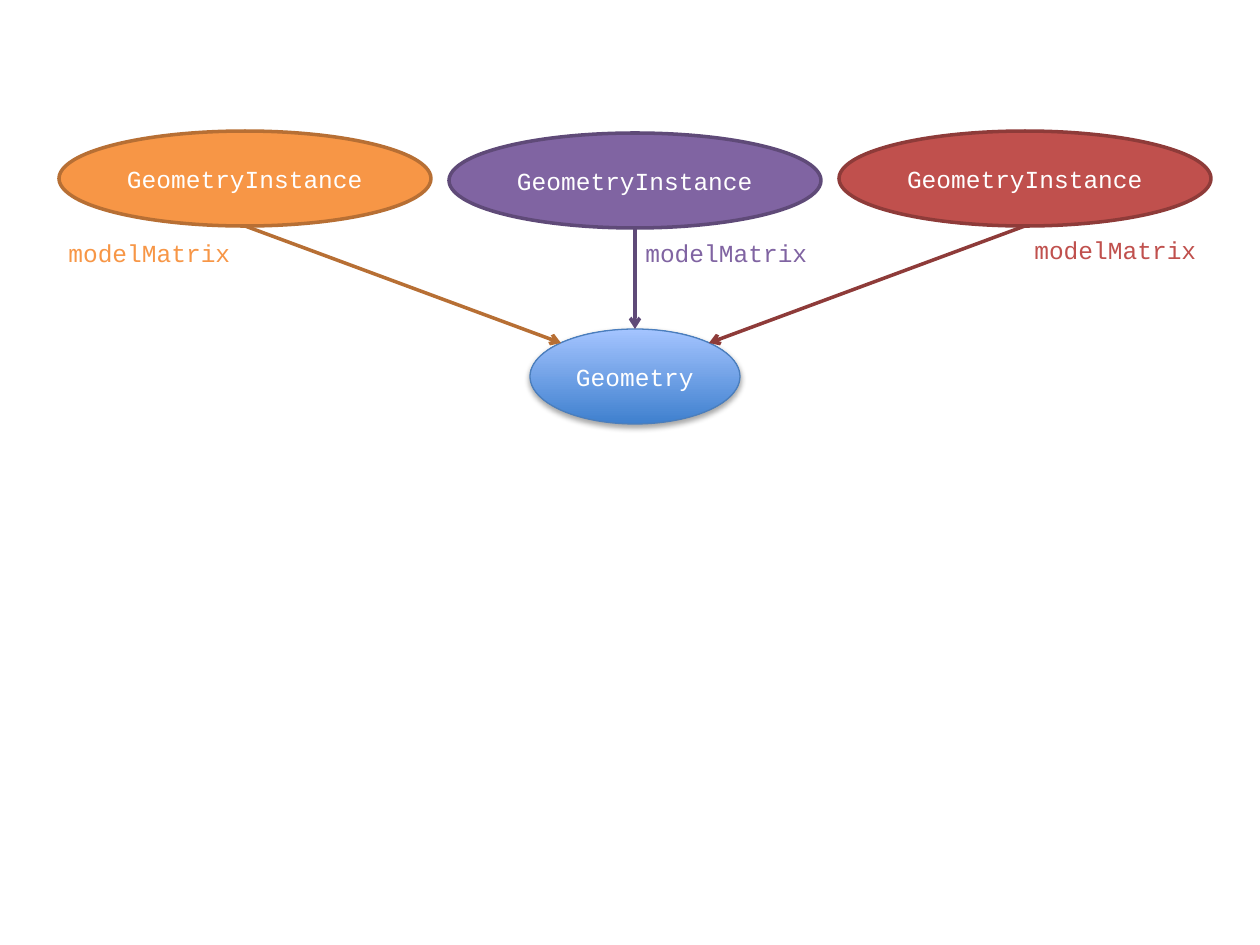
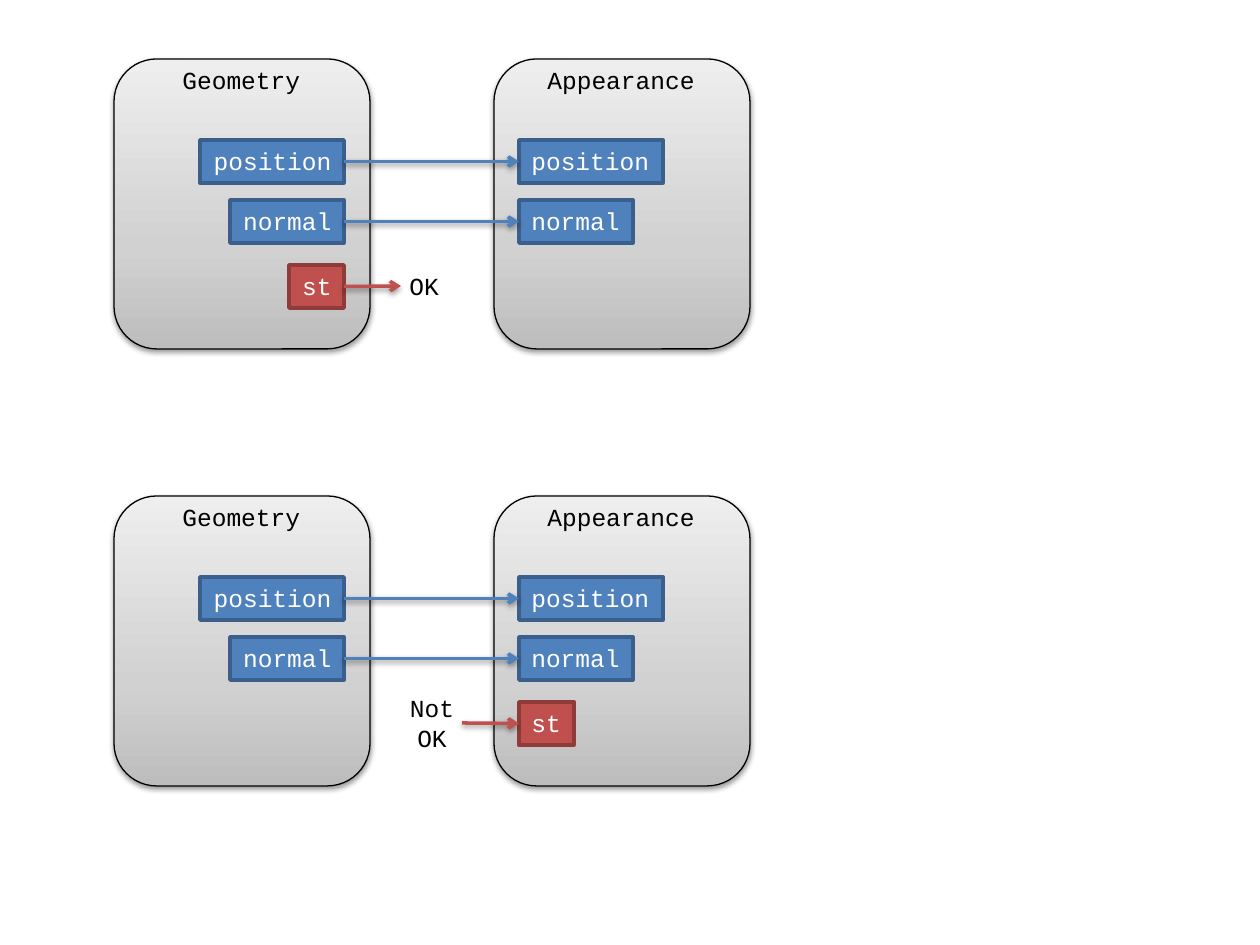
"""Build two diagrams of geometry instances and of vertex attribute matching."""
import pptx
import pptx.util
import pptx.dml.color
import pptx.enum.shapes
import pptx.enum.text
import pptx.oxml.ns
from lxml import etree

RGBColor = pptx.dml.color.RGBColor
Shape = pptx.enum.shapes.MSO_SHAPE
Align = pptx.enum.text.PP_ALIGN
Anchor = pptx.enum.text.MSO_ANCHOR
qn = pptx.oxml.ns.qn

EMU_PER_PX = 914400 / 126
WHITE = RGBColor(0xFF, 0xFF, 0xFF)
BLACK = RGBColor(0, 0, 0)
ORANGE = RGBColor(0xF7, 0x96, 0x46)
ORANGE_EDGE = RGBColor(0xB7, 0x6F, 0x34)
PURPLE = RGBColor(0x80, 0x64, 0xA2)
PURPLE_EDGE = RGBColor(0x5F, 0x4A, 0x78)
RED = RGBColor(0xC0, 0x50, 0x4D)
RED_EDGE = RGBColor(0x8E, 0x3B, 0x39)
BLUE = RGBColor(0x4F, 0x81, 0xBD)
BLUE_EDGE = RGBColor(0x3A, 0x5F, 0x8C)
GEOMETRY_EDGE = RGBColor(0x4B, 0x7E, 0xBC)
GEOMETRY_STOPS = [(0, RGBColor(0x3F, 0x80, 0xCE)), (100, RGBColor(0xA4, 0xC4, 0xFF))]
PANEL_STOPS = [(0, RGBColor(0xBD, 0xBD, 0xBD)), (35, RGBColor(0xD1, 0xD1, 0xD1)),
               (100, RGBColor(0xEE, 0xEE, 0xEE))]
LABEL_H = 43


def px(length):
    """Turn px into EMU."""
    return pptx.util.Emu(round(length * EMU_PER_PX))


def label_width(text):
    """Width in px of a one-line label with its insets."""
    return round(14.7 * len(text)) + 26


def write(frame, text, color=WHITE, align=Align.LEFT, anchor=Anchor.TOP, fit=False,
          size=14, font="Courier New"):
    """Fill a text frame, one paragraph for each line of the text."""
    frame.text = text
    frame.vertical_anchor = anchor
    frame.word_wrap = not fit
    if fit:
        frame.auto_size = pptx.enum.text.MSO_AUTO_SIZE.SHAPE_TO_FIT_TEXT
    for paragraph in frame.paragraphs:
        paragraph.alignment = align
        paragraph.font.size = pptx.util.Pt(size)
        for run in paragraph.runs:
            run.font.size = pptx.util.Pt(size)
            run.font.name = font
            run.font.color.rgb = color


def cast_shadow(effects, alpha, distance):
    """Add a soft shadow below to an effect list."""
    shadow = etree.SubElement(effects, qn("a:outerShdw"), blurRad="40000",
                              dist=str(distance), dir="5400000", rotWithShape="0")
    tint = etree.SubElement(shadow, qn("a:srgbClr"), val=str(BLACK))
    etree.SubElement(tint, qn("a:alpha"), val=str(alpha * 1000))


class Diagram:
    """Holds the presentation, its style and the current slide."""

    def __init__(self):
        self.deck = pptx.Presentation()
        self.deck.slide_width, self.deck.slide_height = px(1260), px(945)
        self.shapes = None

    def new_slide(self):
        """Start a blank slide."""
        self.shapes = self.deck.slides.add_slide(self.deck.slide_layouts[6]).shapes

    def box(self, kind, x, y, w, h, edge, fill=None, stops=None, width=2, shadow=None):
        """Draw a preset shape with a flat or a gradient fill."""
        shape = self.shapes.add_shape(kind, px(x), px(y), px(w), px(h))
        shape.shadow.inherit = False
        properties = shape.element.spPr
        if stops:
            shape.fill.gradient()
            shape.fill.gradient_angle = 90
            stop_list = properties.find(".//" + qn("a:gsLst"))
            for old in list(stop_list):
                stop_list.remove(old)
            for position, color in stops:
                stop = etree.SubElement(stop_list, qn("a:gs"), pos=str(position * 1000))
                etree.SubElement(stop, qn("a:srgbClr"), val=str(color))
        else:
            shape.fill.solid()
            shape.fill.fore_color.rgb = fill
        shape.line.color.rgb = edge
        shape.line.width = pptx.util.Pt(width)
        if shadow:
            cast_shadow(properties.find(qn("a:effectLst")), *shadow)
        return shape

    def ellipse(self, text, *place, **style):
        """Draw an ellipse with centred text."""
        shape = self.box(Shape.OVAL, *place, **style)
        write(shape.text_frame, text, align=Align.CENTER, anchor=Anchor.MIDDLE)
        return shape

    def panel(self, title, x, y):
        """Draw a shaded panel with its title at the top."""
        w = 256
        self.box(Shape.ROUNDED_RECTANGLE, x, y, w, 290, BLACK, stops=PANEL_STOPS,
                 width=0.75, shadow=(38, 20000))
        self.label(title, x + (w - label_width(title)) // 2, y)

    def attribute(self, name, y, left=None, right=None, fill=BLUE, edge=BLUE_EDGE):
        """Draw an attribute box held by its left or its right side."""
        w = label_width(name)
        x = right - w if left is None else left
        shape = self.box(Shape.RECTANGLE, x, y, w, LABEL_H, edge, fill)
        write(shape.text_frame, name, fit=True,
              align=Align.RIGHT if left is None else Align.LEFT)
        return shape

    def label(self, text, x, y, color=BLACK, align=Align.LEFT):
        """Write free text."""
        lines = text.split("\n")
        w = max(map(label_width, lines))
        h = LABEL_H + 29 * (len(lines) - 1)
        frame = self.shapes.add_textbox(px(x), px(y), px(w), px(h)).text_frame
        write(frame, text, color=color, align=align, fit=True)

    def arrow(self, color, start=(0, 0), end=(0, 0), source=None, target=None, shadow=None):
        """Draw an arrow between points or joined (shape, side) pairs."""
        line = self.shapes.add_connector(pptx.enum.shapes.MSO_CONNECTOR.STRAIGHT,
                                         *map(px, (*start, *end)))
        if source:
            line.begin_connect(*source)
        if target:
            line.end_connect(*target)
        line.line.color.rgb = color
        line.line.width = pptx.util.Pt(2)
        properties = line.element.spPr
        etree.SubElement(properties.find(qn("a:ln")), qn("a:tailEnd"), type="arrow")
        effects = etree.SubElement(properties, qn("a:effectLst"))
        if shadow:
            cast_shadow(effects, *shadow)


def draw_instances(diagram):
    """Three instances that share one geometry."""
    diagram.new_slide()
    geometry = diagram.ellipse("Geometry", 530, 329, 210, 95, edge=GEOMETRY_EDGE,
                               stops=GEOMETRY_STOPS, width=0.75, shadow=(35, 23000))
    instances = [
        (131, ORANGE, ORANGE_EDGE, (561, 343), None, (55, 232), Align.RIGHT),
        (133, PURPLE, PURPLE_EDGE, (635, 329), (geometry, 0), (633, 232), Align.LEFT),
        (131, RED, RED_EDGE, (709, 343), None, (1022, 229), Align.LEFT),
    ]
    w, h = 372, 95
    for column, (y, fill, edge, tip, target, matrix, align) in enumerate(instances):
        x = 59 + 390 * column
        diagram.ellipse("GeometryInstance", x, y, w, h, edge=edge, fill=fill)
        diagram.arrow(edge, (x + w // 2, y + h), tip, target=target)
        diagram.label("modelMatrix", *matrix, color=fill, align=align)


def draw_matching(diagram):
    """Attributes offered by a geometry and required by an appearance."""
    diagram.new_slide()
    offered, required = 344, 519
    soft = (38, 20000)
    for top, matches in ((59, True), (496, False)):
        diagram.panel("Appearance", 494, top)
        diagram.panel("Geometry", 114, top)
        for name, offset in (("position", 81), ("normal", 141)):
            source = diagram.attribute(name, top + offset, right=offered)
            target = diagram.attribute(name, top + offset, left=required)
            diagram.arrow(BLUE, source=(source, 3), target=(target, 1), shadow=soft)
        y = top + 206
        middle = y + LABEL_H // 2
        side = {"right": offered} if matches else {"left": required}
        st = diagram.attribute("st", y, fill=RED, edge=RED_EDGE, **side)
        if matches:
            diagram.arrow(RED, end=(401, middle), source=(st, 3), shadow=soft)
            diagram.label("OK", 397, y)
        else:
            diagram.arrow(RED, start=(462, middle), target=(st, 1), shadow=soft)
            diagram.label("Not\nOK", 397, y - 15, align=Align.CENTER)


def main():
    """Draw both slides and save them."""
    diagram = Diagram()
    draw_instances(diagram)
    draw_matching(diagram)
    diagram.deck.save("out.pptx")


if __name__ == "__main__":
    main()
